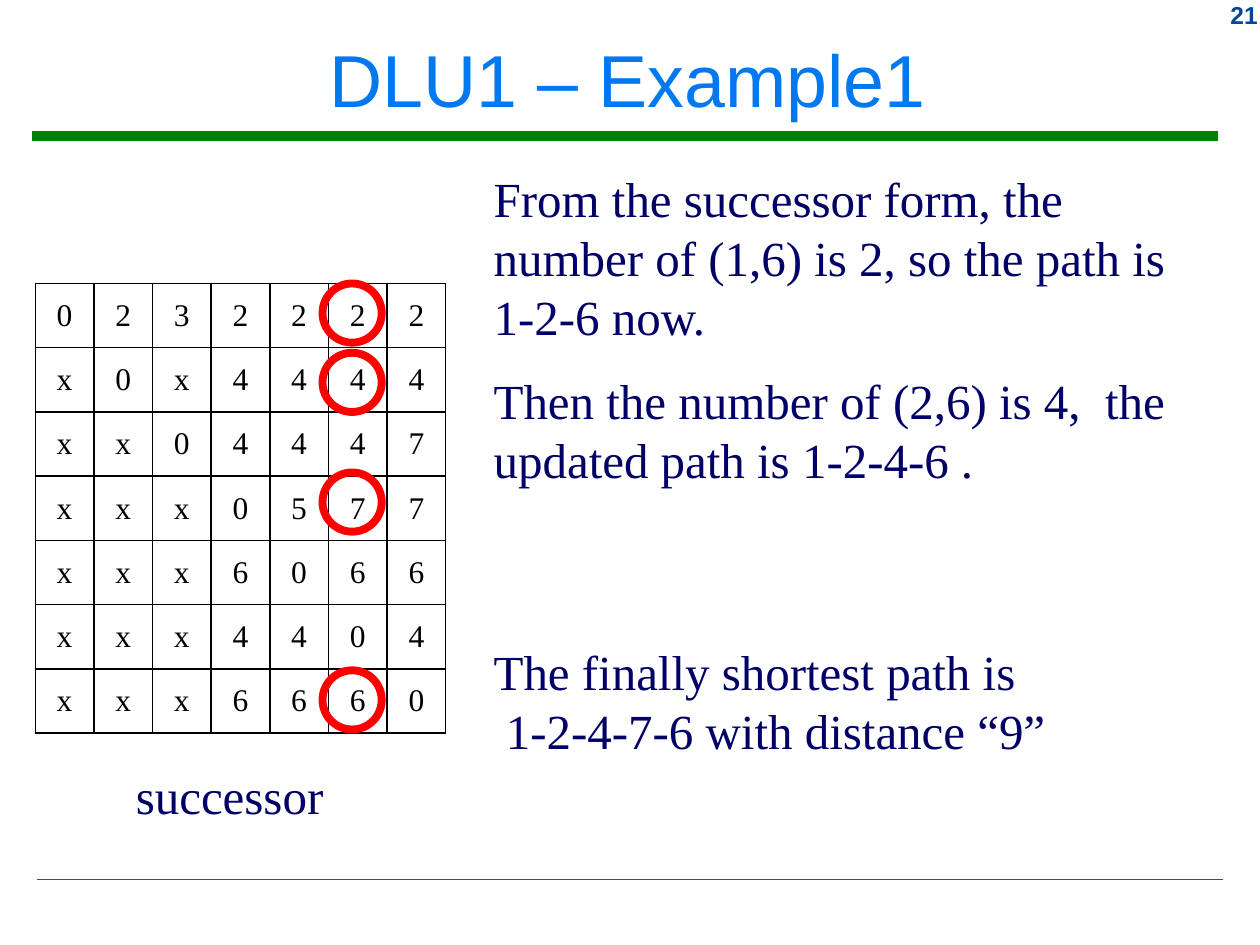
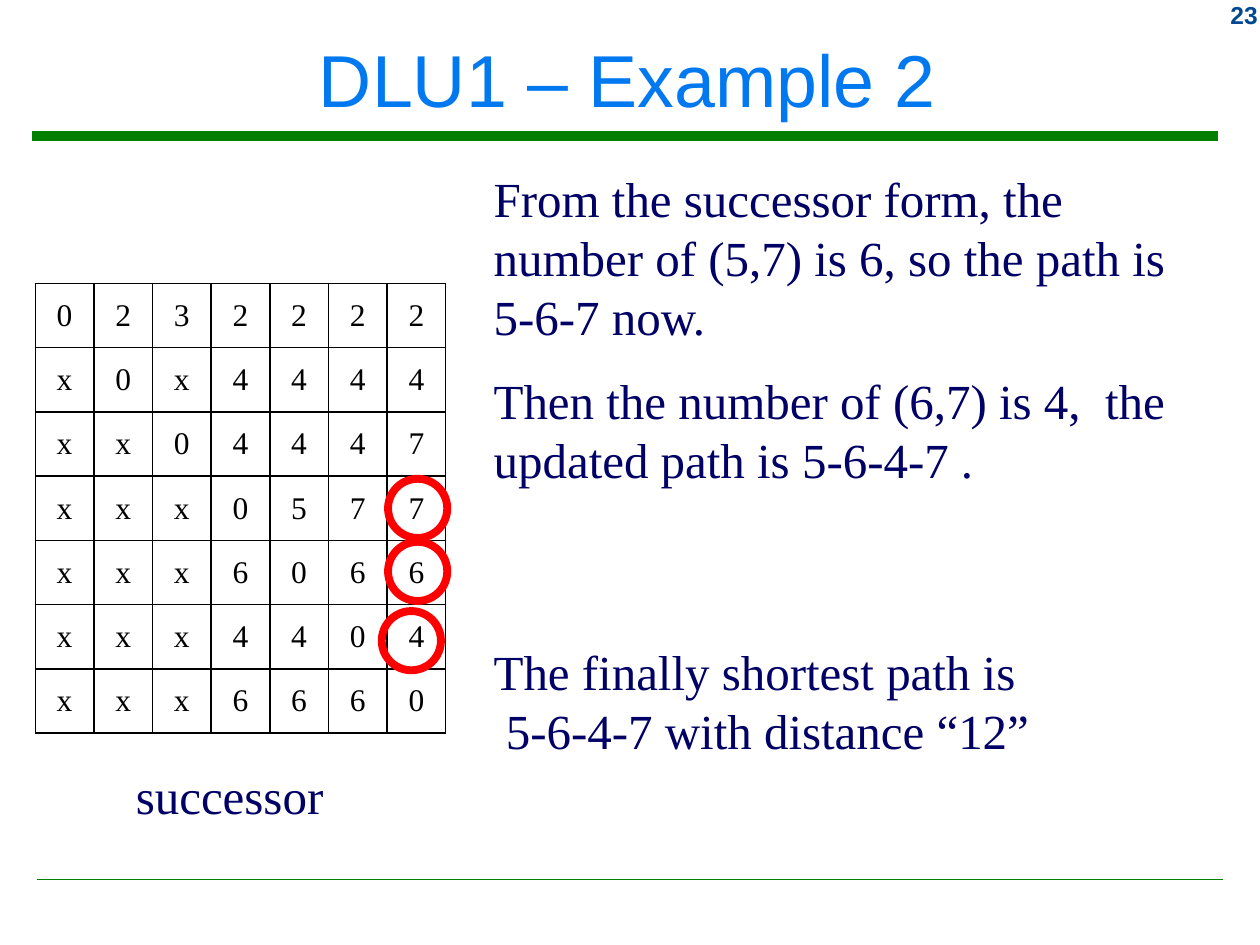
from dataclasses import dataclass

from lxml import etree
from pptx import Presentation
from pptx import util as u
from pptx.dml.color import RGBColor
from pptx.enum import shapes, text
from pptx.oxml import ns

SUCCESSORS = ["0232222", "x0x4444", "xx04447", "xxx0577", "xxx6066", "xxx4404", "xxx6660"]

EXAMPLES = [
    {
        "number": "21",
        "title": "DLU1 – Example1",
        "steps": [
            ["From the successor form, the number of (1,6) is 2, so the path is", "1-2-6 now."],
            ["Then the number of (2,6) is 4,  the updated path is 1-2-4-6 ."],
            ["The finally shortest path is", " 1-2-4-7-6 with distance “9”"],
        ],
        "rings": [(2.56, 2.25), (2.56, 2.8), (2.56, 3.75), (2.56, 5.32)],
    },
    {
        "number": "23",
        "title": "DLU1 – Example 2",
        "steps": [
            ["From the successor form, the number of (5,7) is 6, so the path is", "5-6-7 now."],
            ["Then the number of (6,7) is 4,  the updated path is 5-6-4-7 ."],
            ["The finally shortest path is", " 5-6-4-7 with distance “12”"],
        ],
        "rings": [(3.08, 3.8), (3.08, 4.3), (3.03, 4.85)],
    },
]

STEP_PLACES = [(3.82, 1.29, 5.9, 1.51), (3.82, 2.89, 5.9, 1.04), (3.82, 5.04, 5.9, 1.04)]
RULES = [(0.25, 1.08, 5.25), (0.29, 6.98, 1)]  # left, top, weight
RULE_LENGTH = 9.42
TABLE_PLACE = (0.28, 2.25, 3.26, 3.57)
RING_SIZE = 0.47


@dataclass(frozen=True)
class Theme:
    rule: str = "008000"
    ring: str = "FF0000"
    ring_weight: float = 4.5
    cell_fill: str = "FFFFFF"
    cell_border: str = "000000"
    border_weight: float = 1


THEME = Theme()
FORMATS = {
    "title": {"name": "Arial", "size": 42, "color": "0078F0"},
    "number": {"name": "Arial", "size": 14, "color": "004992", "bold": True},
    "body": {"name": "Times New Roman", "size": 28, "color": "000066"},
    "cell": {"name": "Times New Roman", "size": 18, "color": "000000"},
}


def inches(values):
    return [u.Inches(value) for value in values]


def write(frame, lines, style, align=text.PP_ALIGN.LEFT):
    for index, line in enumerate(lines):
        para = frame.paragraphs[0] if index == 0 else frame.add_paragraph()
        para.alignment = align
        span = para.add_run()
        span.text = line
        for key, value in FORMATS[style].items():
            if key == "color":
                span.font.color.rgb = RGBColor.from_string(value)
            else:
                setattr(span.font, key, u.Pt(value) if key == "size" else value)


def add_text(page, place, lines, style, align=text.PP_ALIGN.LEFT,
             anchor=text.MSO_ANCHOR.TOP, wrap=True):
    frame = page.shapes.add_textbox(*inches(place)).text_frame
    frame.word_wrap = wrap
    frame.vertical_anchor = anchor
    write(frame, lines, style, align)


def set_line(line, color, weight):
    line.color.rgb = RGBColor.from_string(color)
    line.width = u.Pt(weight)


def add_rule(page, left, top, weight):
    rule = page.shapes.add_connector(
        shapes.MSO_CONNECTOR.STRAIGHT, *inches((left, top, left + RULE_LENGTH, top)))
    set_line(rule.line, THEME.rule, weight)
    etree.SubElement(rule._element.spPr, ns.qn("a:effectLst"))


def add_borders(cell):
    properties = cell._tc.get_or_add_tcPr()
    for side in ("lnL", "lnR", "lnT", "lnB"):
        border = etree.SubElement(properties, ns.qn(f"a:{side}"),
                                  w=str(u.Pt(THEME.border_weight)))
        fill = etree.SubElement(border, ns.qn("a:solidFill"))
        etree.SubElement(fill, ns.qn("a:srgbClr"), val=THEME.cell_border)


def add_successor_table(page):
    count = len(SUCCESSORS)
    left, top, width, height = inches(TABLE_PLACE)
    table = page.shapes.add_table(count, count, left, top, width, height).table
    table.first_row = table.horz_banding = False
    layout = {
        "margin_left": u.Inches(0.05), "margin_right": u.Inches(0.05),
        "margin_top": u.Inches(0.02), "margin_bottom": u.Inches(0.02),
        "vertical_anchor": text.MSO_ANCHOR.MIDDLE,
    }
    for row, values in enumerate(SUCCESSORS):
        for column, value in enumerate(values):
            cell = table.cell(row, column)
            for key, setting in layout.items():
                setattr(cell, key, setting)
            add_borders(cell)
            cell.fill.solid()
            cell.fill.fore_color.rgb = RGBColor.from_string(THEME.cell_fill)
            write(cell.text_frame, [value], "cell", text.PP_ALIGN.CENTER)


def add_ring(page, left, top):
    ring = page.shapes.add_shape(
        shapes.MSO_SHAPE.OVAL, *inches((left, top, RING_SIZE, RING_SIZE)))
    ring.shadow.inherit = False
    ring.fill.background()
    set_line(ring.line, THEME.ring, THEME.ring_weight)


def add_example(deck, example):
    page = deck.slides.add_slide(deck.slide_layouts[6])
    for rule in RULES:
        add_rule(page, *rule)
    add_text(page, (9.17, -0.05, 0.91, 0.33), [example["number"]], "number",
             text.PP_ALIGN.RIGHT)
    add_text(page, (0.08, 0.09, 9.8, 1.06), [example["title"]], "title",
             text.PP_ALIGN.CENTER, text.MSO_ANCHOR.MIDDLE)
    add_successor_table(page)
    add_text(page, (0.98, 6.03, 1.7, 0.57), ["successor"], "body", wrap=False)
    for place, lines in zip(STEP_PLACES, example["steps"]):
        add_text(page, place, lines, "body")
    for ring in example["rings"]:
        add_ring(page, *ring)


def main():
    deck = Presentation()
    deck.slide_width, deck.slide_height = inches((10, 7.5))
    for example in EXAMPLES:
        for key in ("size",):
            assert all(key in style for style in FORMATS.values())
        add_example(deck, example)
    deck.save("out.pptx")


if __name__ == "__main__":
    main()
